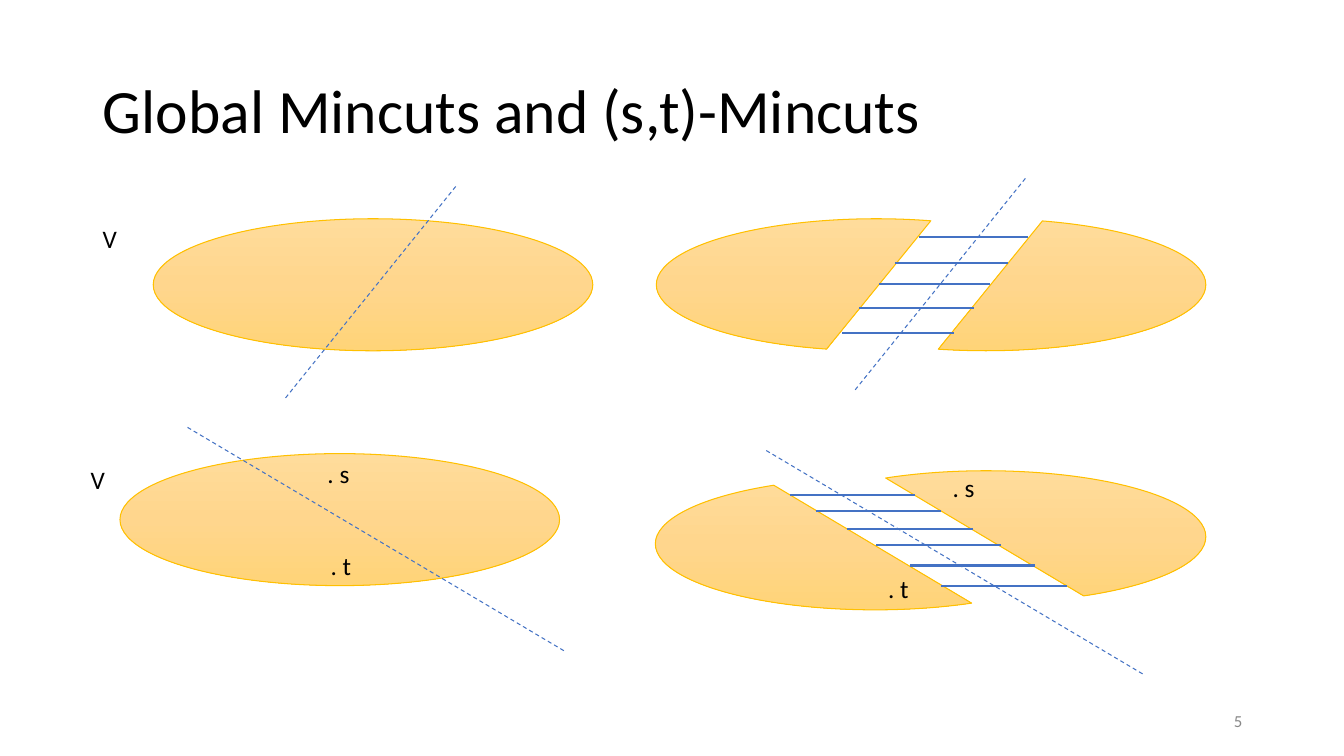
import copy
from dataclasses import dataclass

import pptx
import pptx.dml.color
import pptx.enum.dml
import pptx.enum.shapes
import pptx.enum.text
import pptx.oxml
import pptx.oxml.ns
import pptx.util

Inches, Pt = pptx.util.Inches, pptx.util.Pt
RGB = pptx.dml.color.RGBColor.from_string
SHAPE = pptx.enum.shapes.MSO_SHAPE
ALIGN = pptx.enum.text.PP_ALIGN
ANCHOR = pptx.enum.text.MSO_ANCHOR


@dataclass(frozen=True)
class Theme:
    font: str = "Calibri"
    ink: str = "000000"
    muted: str = "888888"
    edge: str = "4472C4"
    rim: str = "FFC000"
    gradient: tuple = ("FFDC9B", "FFD68D", "FFD478")
    title: float = 44
    label: float = 18
    number: float = 12
    thin: float = 0.75
    thick: float = 1.5


T = Theme()


def add_run(tf, text, size, color):
    tf.word_wrap = True
    tf.auto_size = pptx.enum.text.MSO_AUTO_SIZE.NONE
    p = tf.paragraphs[0]
    r = p.add_run()
    r.text = text
    r.font.name, r.font.size = T.font, Pt(size)
    r.font.color.rgb = RGB(color)
    return p


def add_line(x1, y1, x2, y2, width):
    c = s.shapes.add_connector(pptx.enum.shapes.MSO_CONNECTOR.STRAIGHT,
                               Inches(x1), Inches(y1), Inches(x2), Inches(y2))
    c.line.color.rgb = RGB(T.edge)
    c.line.width = Pt(width)
    c._element.spPr.append(pptx.oxml.parse_xml(
        "<a:effectLst %s/>" % pptx.oxml.ns.nsdecls("a")))
    return c


prs = pptx.Presentation()
prs.slide_width, prs.slide_height = Inches(13.33), Inches(7.5)
s = prs.slides.add_slide(prs.slide_layouts[5])

# Title
title = s.shapes.title
title.left, title.top = Inches(0.92), Inches(0.4)
title.width, title.height = Inches(11.5), Inches(1.45)
title.text_frame.vertical_anchor = ANCHOR.MIDDLE
p = add_run(title.text_frame, "Global Mincuts and (s,t)-Mincuts", T.title, T.ink)
p.alignment = ALIGN.LEFT
p.line_spacing = 0.9

# Vertex sets: whole ellipses on the left, the two sides of each cut on the right
vertex_sets = [
    (SHAPE.OVAL, 1.52, 2.17, ()),
    (SHAPE.CHORD, 6.51, 2.17, (76.558, 186.329)),
    (SHAPE.CHORD, 7.6, 2.17, (186.87, 75.906)),
    (SHAPE.OVAL, 1.19, 4.5, ()),
    (SHAPE.CHORD, 6.5, 4.74, (18.949, 126.02)),
    (SHAPE.CHORD, 7.6, 4.67, (126.211, 18.729)),
]
for kind, x, y, angles in vertex_sets:
    sp = s.shapes.add_shape(kind, Inches(x), Inches(y), Inches(4.36), Inches(1.31))
    for i, angle in enumerate(angles):
        sp.adjustments[i] = angle
    sp.shadow.inherit = False
    sp.line.color.rgb = RGB(T.rim)
    sp.line.width = Pt(T.thin)
    sp.fill.gradient()
    sp.fill.gradient_angle = 270
    stops = sp._element.spPr.find(".//" + pptx.oxml.ns.qn("a:gsLst"))
    stops.insert(1, copy.deepcopy(stops[0]))
    stops[1].set("pos", "50000")
    for stop, color in zip(sp.fill.gradient_stops, T.gradient):
        stop.color.rgb = RGB(color)

# Edges crossing the global cut, then those crossing the (s,t)-cut
crossing_edges = [
    (9.12, 10.2, 2.35), (8.88, 10, 2.61), (8.72, 9.82, 2.82),
    (8.52, 9.66, 3.06), (8.35, 9.46, 3.3),
    (7.84, 9.08, 4.91), (8.09, 9.33, 5.07), (8.4, 9.65, 5.25),
    (8.69, 9.93, 5.41), (9.03, 10.27, 5.61), (9.33, 10.58, 5.81),
]
for x1, x2, y in crossing_edges:
    add_line(x1, y, x2, y, T.thick)

# Dashed cut lines
cuts = [(4.52, 1.85, 2.83, 3.95), (10.17, 1.77, 8.48, 3.87),
        (1.86, 4.24, 5.6, 6.46), (7.6, 4.47, 11.34, 6.69)]
for ends in cuts:
    add_line(*ends, T.thin).line.dash_style = pptx.enum.dml.MSO_LINE.DASH

# Vertex and set labels
labels = [("V", 0.92, 2.17), ("V", 0.8, 4.56),
          (". s", 3.15, 4.5), (". t", 3.18, 5.41),
          (". s", 9.35, 4.64), (". t", 8.71, 5.64)]
for text, x, y in labels:
    tb = s.shapes.add_textbox(Inches(x), Inches(y), Inches(0.44), Inches(0.4))
    add_run(tb.text_frame, text, T.label, T.ink)

# Slide number
tb = s.shapes.add_textbox(Inches(9.42), Inches(6.95), Inches(3), Inches(0.4))
tb.text_frame.vertical_anchor = ANCHOR.MIDDLE
add_run(tb.text_frame, "5", T.number, T.muted).alignment = ALIGN.RIGHT

prs.save("out.pptx")
